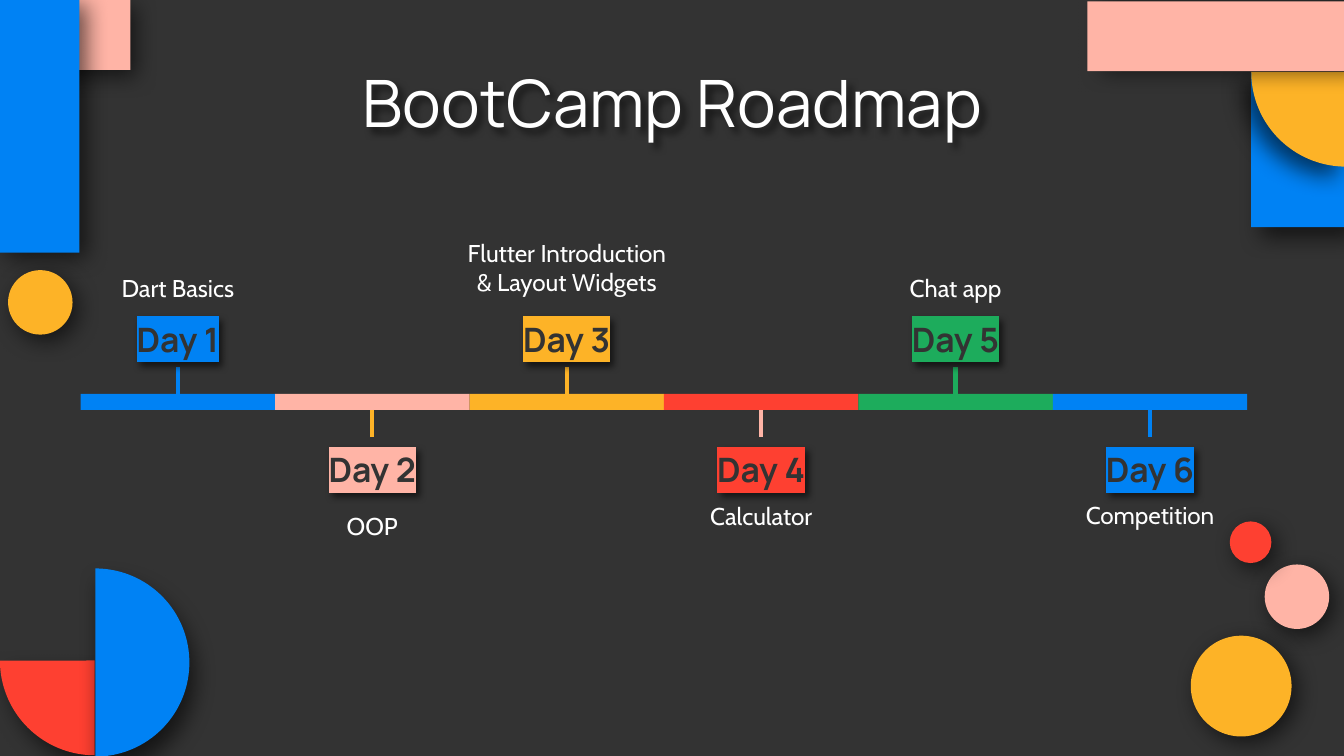
from typing import NamedTuple

from lxml.etree import SubElement
from pptx import Presentation
from pptx.dml.color import RGBColor
from pptx.enum.shapes import MSO_CONNECTOR, MSO_SHAPE
from pptx.enum.text import MSO_ANCHOR, MSO_AUTO_SIZE, PP_ALIGN
from pptx.oxml.ns import qn
from pptx.util import Inches, Pt

CHARCOAL = RGBColor(0x33, 0x33, 0x33)
WHITE = RGBColor(0xFF, 0xFF, 0xFF)
BLUE = RGBColor(0x00, 0x82, 0xF4)
PINK = RGBColor(0xFF, 0xB4, 0xA6)
YELLOW = RGBColor(0xFD, 0xB3, 0x27)
RED = RGBColor(0xFE, 0x40, 0x31)
GREEN = RGBColor(0x1D, 0xAC, 0x5C)

SLIDE_WIDTH = Inches(10)
SLIDE_HEIGHT = SLIDE_WIDTH * 9 // 16

BAR_LEFT, BAR_RIGHT, BAR_TOP, BAR_HEIGHT = 0.6, 9.28, 2.93, 0.12
TICK_LENGTH = 0.2
LABEL_WIDTH, LABEL_HEIGHT = 1.86, 0.45
LABEL_TOP_ABOVE, LABEL_TOP_BELOW = 2.27, 3.24

LOWER_LEFT_QUARTER = (54, 108)
RIGHT_HALF = (162, 54)


class Decoration(NamedTuple):
    kind: MSO_SHAPE
    left: float
    top: float
    width: float
    height: float
    color: RGBColor
    shadow_distance: float = 4.5
    shadow_angle: int = 50
    angles: tuple = ()


class Day(NamedTuple):
    caption: str
    color: RGBColor
    tick_color: RGBColor
    caption_top: float
    caption_width: float = LABEL_WIDTH
    caption_height: float = 0.42


RECTANGLE, CIRCLE, PIE = MSO_SHAPE.RECTANGLE, MSO_SHAPE.OVAL, MSO_SHAPE.PIE

DECORATIONS = [
    Decoration(RECTANGLE, 0.38, 0, 0.59, 0.52, PINK),
    Decoration(RECTANGLE, 0, 0, 0.59, 1.88, BLUE, shadow_angle=33),
    Decoration(CIRCLE, 0.06, 2.01, 0.48, 0.48, YELLOW),
    Decoration(CIRCLE, 9.41, 4.2, 0.48, 0.48, PINK),
    Decoration(CIRCLE, 8.86, 4.73, 0.75, 0.75, YELLOW),
    Decoration(CIRCLE, 9.15, 3.88, 0.31, 0.31, RED),
    Decoration(PIE, 0, 4.21, 1.41, 1.41, RED, 7.5, 50, LOWER_LEFT_QUARTER),
    Decoration(RECTANGLE, 9.31, 0.54, 0.7, 1.15, BLUE, 7.5),
    Decoration(PIE, 9.31, -0.17, 1.41, 1.41, YELLOW, 7.5, 134, LOWER_LEFT_QUARTER),
    Decoration(PIE, 0.01, 4.23, 1.4, 1.4, BLUE, 7.5, 68, RIGHT_HALF),
    Decoration(RECTANGLE, 8.09, 0.01, 1.92, 0.52, PINK, 7.5, 0),
]

DAYS = [
    Day("Dart Basics", BLUE, BLUE, 1.93),
    Day("OOP", PINK, YELLOW, 3.7),
    Day("Flutter Introduction\n& Layout Widgets", YELLOW, YELLOW, 1.67, 2.11, 0.64),
    Day("Calculator", RED, PINK, 3.63),
    Day("Chat app", GREEN, GREEN, 1.93),
    Day("Competition", BLUE, BLUE, 3.62),
]
BAR_WIDTH = (BAR_RIGHT - BAR_LEFT) / len(DAYS)


def add_shadow(shape, distance: float, angle: int, blur: float = 12.4) -> None:
    shape.shadow.inherit = False
    effects = shape._element.spPr.find(qn("a:effectLst"))
    shadow = SubElement(
        effects, qn("a:outerShdw"), blurRad=str(Pt(blur)), dist=str(Pt(distance)),
        dir=str(angle * 60000), algn="bl", rotWithShape="0",
    )
    color = SubElement(shadow, qn("a:srgbClr"), val="000000")
    SubElement(color, qn("a:alpha"), val="59000")


def add_filled_shape(slide, kind: MSO_SHAPE, left: float, top: float,
                     width: float, height: float, color: RGBColor):
    shape = slide.shapes.add_shape(
        kind, Inches(left), Inches(top), Inches(width), Inches(height)
    )
    shape.shadow.inherit = False
    shape.fill.solid()
    shape.fill.fore_color.rgb = color
    shape.line.fill.background()
    return shape


def add_decoration(slide, decoration: Decoration) -> None:
    shape = add_filled_shape(slide, *decoration[:6])
    for index, angle in enumerate(decoration.angles):
        shape.adjustments[index] = angle
    add_shadow(shape, decoration.shadow_distance, decoration.shadow_angle)


def write_text(shape, text: str, color: RGBColor, anchor=MSO_ANCHOR.MIDDLE,
               auto_size=MSO_AUTO_SIZE.NONE, **font_format) -> None:
    frame = shape.text_frame
    frame_format = {
        "word_wrap": True, "auto_size": auto_size, "vertical_anchor": anchor,
        **{f"margin_{side}": Inches(0.1) for side in ("left", "right", "top", "bottom")},
    }
    for name, value in frame_format.items():
        setattr(frame, name, value)
    paragraph = frame.paragraphs[0]
    paragraph.text = text
    paragraph.alignment = PP_ALIGN.CENTER
    for run in paragraph.runs:
        run.font.color.rgb = color
        for name, value in font_format.items():
            setattr(run.font, name, value)


def add_text(slide, center: float, top: float, width: float, height: float,
             text: str, color: RGBColor, **text_format):
    shape = slide.shapes.add_textbox(
        Inches(center - width / 2), Inches(top), Inches(width), Inches(height)
    )
    write_text(shape, text, color, **text_format)
    return shape


def highlight(shape, color: RGBColor) -> None:
    for run in shape.text_frame.paragraphs[0].runs:
        properties = run.font._element
        mark = SubElement(properties, qn("a:highlight"))
        SubElement(mark, qn("a:srgbClr"), val=str(color))
        properties.find(qn("a:solidFill")).addnext(mark)


def add_tick(slide, center: float, start: float, end: float, color: RGBColor) -> None:
    tick = slide.shapes.add_connector(
        MSO_CONNECTOR.STRAIGHT, Inches(center), Inches(start), Inches(center), Inches(end)
    )
    tick.line.color.rgb = color
    tick.line.width = Pt(2.25)
    SubElement(tick._element.spPr, qn("a:effectLst"))


def add_day(slide, index: int, day: Day) -> None:
    left = BAR_LEFT + index * BAR_WIDTH
    center = left + BAR_WIDTH / 2
    above = index % 2 == 0
    add_filled_shape(slide, RECTANGLE, left, BAR_TOP, BAR_WIDTH, BAR_HEIGHT, day.color)
    if above:
        label_top, start, end = LABEL_TOP_ABOVE, BAR_TOP, BAR_TOP - TICK_LENGTH
    else:
        start = BAR_TOP + BAR_HEIGHT
        label_top, end = LABEL_TOP_BELOW, start + TICK_LENGTH
    add_tick(slide, center, start, end, day.tick_color)
    label = add_text(
        slide, center, label_top, LABEL_WIDTH, LABEL_HEIGHT, f"Day {index + 1}", CHARCOAL,
        anchor=MSO_ANCHOR.TOP, name="Manrope", size=Pt(18), bold=True,
    )
    highlight(label, day.color)
    add_shadow(label, 3, 50, blur=4)
    add_text(
        slide, center, day.caption_top, day.caption_width, day.caption_height, day.caption,
        WHITE, auto_size=MSO_AUTO_SIZE.SHAPE_TO_FIT_TEXT, name="Cabin", size=Pt(13),
    )


def format_title(title) -> None:
    position = {"left": 0.79, "top": 0.44, "width": 8.43, "height": 0.63}
    for name, value in position.items():
        setattr(title, name, Inches(value))
    write_text(title, "BootCamp Roadmap", WHITE, name="Manrope", size=Pt(35))
    add_shadow(title, 3, 50, blur=4)


def main() -> None:
    presentation = Presentation()
    presentation.slide_width = SLIDE_WIDTH
    presentation.slide_height = SLIDE_HEIGHT
    slide = presentation.slides.add_slide(presentation.slide_layouts[5])
    slide.background.fill.solid()
    slide.background.fill.fore_color.rgb = CHARCOAL
    format_title(slide.shapes.title)
    for decoration in DECORATIONS:
        add_decoration(slide, decoration)
    for index, day in enumerate(DAYS):
        add_day(slide, index, day)
    presentation.save("out.pptx")


if __name__ == "__main__":
    main()
